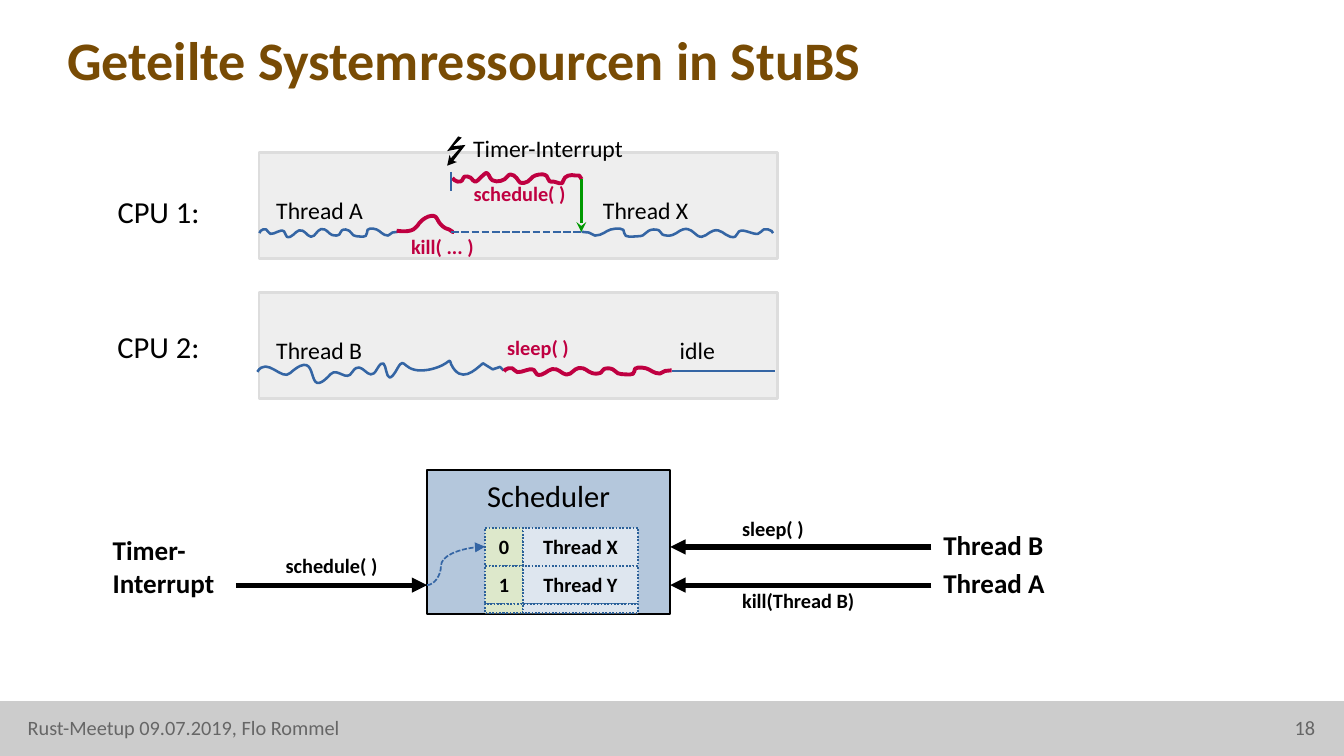
from lxml.etree import SubElement
from pptx import Presentation
from pptx.dml.color import RGBColor
from pptx.enum.dml import MSO_LINE
from pptx.enum.shapes import MSO_CONNECTOR, MSO_SHAPE
from pptx.enum.text import MSO_ANCHOR, MSO_AUTO_SIZE, PP_ALIGN
from pptx.oxml.ns import qn
from pptx.util import Pt

FONT = "Calibri"
BLACK = RGBColor(0, 0, 0)
BROWN = RGBColor(0x78, 0x4B, 0x04)
RED = RGBColor(0xBF, 0x00, 0x41)
BLUE = RGBColor(0x34, 0x65, 0xA4)
DARK_BLUE = RGBColor(0x2A, 0x60, 0x99)
GREEN = RGBColor(0x00, 0x99, 0x00)
GRAY_TEXT = RGBColor(0x66, 0x66, 0x66)
FOOTER_FILL = RGBColor(0xCC, 0xCC, 0xCC)
CPU_FILL = RGBColor(0xEE, 0xEE, 0xEE)
CPU_LINE = RGBColor(0xDD, 0xDD, 0xDD)
SCHED_FILL = RGBColor(0xB4, 0xC7, 0xDC)
THREAD_FILL = RGBColor(0xDE, 0xE6, 0xEF)
INDEX_FILL = RGBColor(0xDD, 0xE8, 0xCB)

# Content
TITLE = "Geteilte Systemressourcen in StuBS"
QUEUE = [("0", "Thread X"), ("1", "Thread Y"), ("", "")]
CPU_TOPS = [90, 172.8]
# lines, left, top, width, height, size, bold, colour
LABELS = [
    (["CPU 1:"], 62.3, 110.5, 82, 31.7, 18, False, BLACK),
    (["CPU 2:"], 62.3, 190.1, 69.1, 31.7, 18, False, BLACK),
    (["Timer-Interrupt"], 272.2, 75.6, 117.4, 25.9, 14, False, BLACK),
    (["Thread A"], 156, 112.3, 73.4, 25.9, 14, False, BLACK),
    (["Thread X"], 348.9, 112.3, 72.7, 25.9, 14, False, BLACK),
    (["Thread B"], 156, 194.8, 73.4, 25.9, 14, False, BLACK),
    (["idle"], 394.2, 194.8, 38.2, 25.9, 14, False, BLACK),
    (["schedule( )"], 272.5, 103.7, 78.5, 23.8, 12, True, RED),
    (["kill( ... )"], 235.6, 134.6, 57.6, 23.8, 12, True, RED),
    (["sleep( )"], 292.3, 194.4, 56.9, 23.8, 12, True, RED),
    (["Timer-", "Interrupt"], 59.5, 311.5, 89.3, 50.4, 16, True, BLACK),
    (["Thread B"], 549.8, 308.5, 85, 28.8, 16, True, BLACK),
    (["Thread A"], 549.8, 331, 85, 28.8, 16, True, BLACK),
    (["schedule( )"], 161.5, 323.3, 78.5, 23.8, 12, True, BLACK),
    (["sleep( )"], 431, 301.4, 96.5, 23.8, 12, True, BLACK),
    (["kill(Thread B)"], 431, 343.9, 96.5, 23.8, 12, True, BLACK),
]
# x1, y1, x2, y2, colour, width, arrowhead, dashed
LINES = [
    (266.4, 137, 343.2, 137, BLUE, 1.5, None, True),
    (343.2, 105.8, 343.2, 137, GREEN, 1.5, "stealth", False),
    (266.2, 101.5, 266.2, 113, BLUE, 1.5, None, False),
    (396.7, 219.1, 457.7, 219.1, BLUE, 1.5, None, False),
    (139.2, 345.5, 252.2, 345.5, BLACK, 3, "triangle", False),
    (549.8, 345.5, 395.7, 345.5, BLACK, 3, "triangle", False),
    (549.8, 323, 395.7, 323, BLACK, 3, "triangle", False),
]
# Curves: start point, then cubic segments (6 numbers) or straight ones (2)
RUNNING = [
    (0, 4), (0, 1.5, 8, -1.5, 10, 3), (12, 7, 20, 2.5, 24, 2), (32, 1, 27, 9, 35, 7),
    (40, 5.5, 43, 0, 49, 2), (53, 3, 57, 9.5, 62, 6), (65, 4, 68, -1, 74, 1),
    (78, 2, 80, 6.5, 87, 6), (95, 5.5, 89, 1, 98, 1), (105, 1.5, 104, 6.5, 110, 6.5),
    (114, 6.5, 122, 8.5, 122, 4), (121, -1, 129, 0, 133, 1), (137, 2, 140, 6, 146, 6),
    (151, 3.5), (156, 3), (157, 3)]
SCHEDULE = [
    (0, 4), (1, 6, 7, 10, 9, 4), (9, 2, 15, 2, 17, 6), (19, 10, 23, 3, 26, 1),
    (30, -3, 30, 5, 33, 6), (37, 8, 43, 6, 45, 3), (48, -2, 53, 4, 54, 6),
    (55, 10, 62, 8, 64, 5), (66, 2, 70, 1, 74, 1), (81, 2, 76, 8, 83, 7),
    (85, 7, 91, 11, 91, 6), (92, 2, 97, 1, 101, 2), (104, 2), (106, 5)]
KILL = [(0, 12), (6, 13, 14, 13, 17, 8), (21, 1, 31, -3, 33, 2),
        (36, 8, 39, 10, 43, 11), (46, 13), (47, 13)]
THREAD_B = [
    (0, 9), (8, -4, 20, 17, 27, 10), (54, -14, 37, 36, 60, 11), (66, 5, 73, 18, 78, 9),
    (86, -3, 91, 20, 98, 7), (109, -12, 102, 30, 115, 6), (122, -6, 118, 12, 142, 7),
    (159, 3, 157, -4, 159, 3), (167, 19, 178, 8, 185, 2), (193, 7), (199, 5), (202, 8)]
BOLT = [(15, 7), (5, 8), (12, 1), (9, 0), (0, 12), (10, 10), (3, 18), (2, 15),
        (0, 24), (8, 21), (5, 20)]
# curve, left, top, x scale, y scale, colour, width
WAVES = [
    (RUNNING, 153.2, 134.8, 0.52, 0.72, BLUE, 1.5),
    (RUNNING, 456.4, 134.8, -0.72, 0.72, BLUE, 1.5),
    (THREAD_B, 151.9, 213.1, 0.72, 0.72, BLUE, 1.5),
    (RUNNING, 297.6, 216.9, 0.63, 0.62, RED, 2.3),
    (SCHEDULE, 267.1, 102.2, 0.72, 0.72, RED, 2.3),
    (KILL, 234.2, 127.6, 0.72, 0.72, RED, 2.3),
]

prs = Presentation()
prs.slide_width, prs.slide_height = Pt(793.44), Pt(446.4)
layout = prs.slide_layouts[5]
slide = prs.slides.add_slide(layout)
shapes = slide.shapes


def write(sp, lines, size, color, bold=False, align=PP_ALIGN.LEFT,
          anchor=MSO_ANCHOR.TOP, inset=(7.2, 3.6), wrap=False):
    tf = sp.text_frame
    tf.word_wrap, tf.vertical_anchor = wrap, anchor
    tf.margin_left = tf.margin_right = Pt(inset[0])
    tf.margin_top = tf.margin_bottom = Pt(inset[1])
    for i, line in enumerate(lines):
        p = tf.add_paragraph() if i else tf.paragraphs[0]
        p.alignment = align
        r = p.add_run()
        r.text = line
        r.font.name, r.font.size, r.font.bold = FONT, Pt(size), bold
        r.font.color.rgb = color


def box(x, y, w, h, fill, line=None, width=0.99, dashed=False):
    sp = shapes.add_shape(MSO_SHAPE.RECTANGLE, Pt(x), Pt(y), Pt(w), Pt(h))
    sp.shadow.inherit = False
    sp.fill.solid()
    sp.fill.fore_color.rgb = fill
    if line is None:
        sp.line.fill.background()
    else:
        sp.line.color.rgb, sp.line.width = line, Pt(width)
        if dashed:
            sp.line.dash_style = MSO_LINE.ROUND_DOT
    return sp


def connect(kind, x1, y1, x2, y2, color, width, head, dashed):
    c = shapes.add_connector(kind, Pt(x1), Pt(y1), Pt(x2), Pt(y2))
    c.line.color.rgb, c.line.width = color, Pt(width)
    if dashed:
        c.line.dash_style = MSO_LINE.SQUARE_DOT
    if head:
        SubElement(c._element.spPr.get_or_add_ln(), qn("a:tailEnd"), type=head)
    SubElement(c._element.spPr, qn("a:effectLst"))
    return c


def freeform(pts, close=False):
    fb = shapes.build_freeform(*pts[0], scale=1.0)
    fb.add_line_segments(pts[1:], close=close)
    sp = fb.convert_to_shape()
    sp.shadow.inherit = False
    return sp


def samples(segs, steps=20):
    """Points on the curve, used to find its extent."""
    end = segs[0][0]
    for seg in segs:
        start, end = end, seg[-1]
        a, b = (seg[0], seg[1]) if len(seg) == 3 else (start, end)
        for t in (i / steps for i in range(steps + 1)):
            k = (1 - t) ** 3, 3 * t * (1 - t) ** 2, 3 * t * t * (1 - t), t ** 3
            yield tuple(sum(m * q[i] for m, q in zip(k, (start, a, b, end))) for i in (0, 1))


def smooth(curve, x, y, sx, sy):
    """A freeform sized to the curve, drawn with cubic segments."""
    segs = [[(Pt(x + sx * px), Pt(y + sy * py)) for px, py in zip(s[::2], s[1::2])]
            for s in curve]
    xs, ys = zip(*samples(segs))
    left, top = round(min(xs)), round(min(ys))
    sp = freeform([(left, top), (round(max(xs)), round(max(ys)))])
    geometry = next(sp._element.iter(qn("a:path")))
    for child in list(geometry):
        geometry.remove(child)
    for i, seg in enumerate(segs):
        tag = "a:moveTo" if i == 0 else "a:cubicBezTo" if len(seg) == 3 else "a:lnTo"
        step = SubElement(geometry, qn(tag))
        for px, py in seg:
            SubElement(step, qn("a:pt"), x=str(px - left), y=str(py - top))
    return sp


# Footer bar belongs to the layout
bar = box(0, 414, 793.44, 32.4, FOOTER_FILL)._element
bar.nvSpPr.cNvPr.set("id", "20")
layout.shapes.element.insert(2, bar)

# Title
title = shapes.title
title.left, title.top, title.width, title.height = Pt(39.6), Pt(12.2), Pt(686), Pt(44.6)
write(title, [TITLE], 32, BROWN, True, anchor=MSO_ANCHOR.MIDDLE, inset=(0, 0), wrap=True)
title.text_frame.auto_size = MSO_AUTO_SIZE.NONE

# Scheduler with its queue; the last row is cut off
sched = box(252.2, 277.4, 143.5, 85, SCHED_FILL, BLACK)
write(sched, ["Scheduler"], 18, BLACK, align=PP_ALIGN.CENTER, inset=(7.9, 4.3))
for i, row in enumerate(QUEUE):
    for text, x, w, fill in zip(row, (286.4, 308.8), (22.4, 67.8), (INDEX_FILL, THREAD_FILL)):
        cell = box(x, 311.6 + 22.5 * i, w, 22.5 if text else 5.6, fill, DARK_BLUE, dashed=True)
        if text:
            write(cell, [text], 12, BLACK, True, PP_ALIGN.CENTER, MSO_ANCHOR.MIDDLE, (7.9, 4.3))

# CPU timelines
for top in CPU_TOPS:
    box(153, top, 306, 62.6, CPU_FILL, CPU_LINE, 1.5)
for *place, color, width in WAVES:
    wave = smooth(*place)
    wave.fill.background()
    wave.line.color.rgb, wave.line.width = color, Pt(width)
bolt = freeform([(Pt(264 + 0.72 * x), Pt(80.6 + 0.72 * y)) for x, y in BOLT], close=True)
bolt.fill.solid()
bolt.fill.fore_color.rgb = BLACK
bolt.line.fill.background()

# Lines and arrows
for line in LINES:
    connect(MSO_CONNECTOR.STRAIGHT, *line)
curve = connect(MSO_CONNECTOR.CURVE, 252.2, 345.5, 286.4, 322.8, BLUE, 0.99, "triangle", True)
av = curve._element.spPr.find(qn("a:prstGeom")).get_or_add_avLst()
SubElement(av, qn("a:gd"), name="adj1", fmla="val 23900")

# Labels
for lines, x, y, w, h, size, bold, color in LABELS:
    tb = shapes.add_textbox(Pt(x), Pt(y), Pt(w), Pt(h))
    write(tb, lines, size, color, bold)
    tb.text_frame.auto_size = MSO_AUTO_SIZE.SHAPE_TO_FIT_TEXT

# Footer text
for text, x, w, align in [("Rust-Meetup 09.07.2019, Flo Rommel", 16.3, 567.4, PP_ALIGN.LEFT),
                          ("18", 591.5, 185, PP_ALIGN.RIGHT)]:
    tb = shapes.add_textbox(Pt(x), Pt(422.6), Pt(w), Pt(18))
    write(tb, [text], 12, GRAY_TEXT, align=align, inset=(0, 0), wrap=True)

prs.save("out.pptx")
